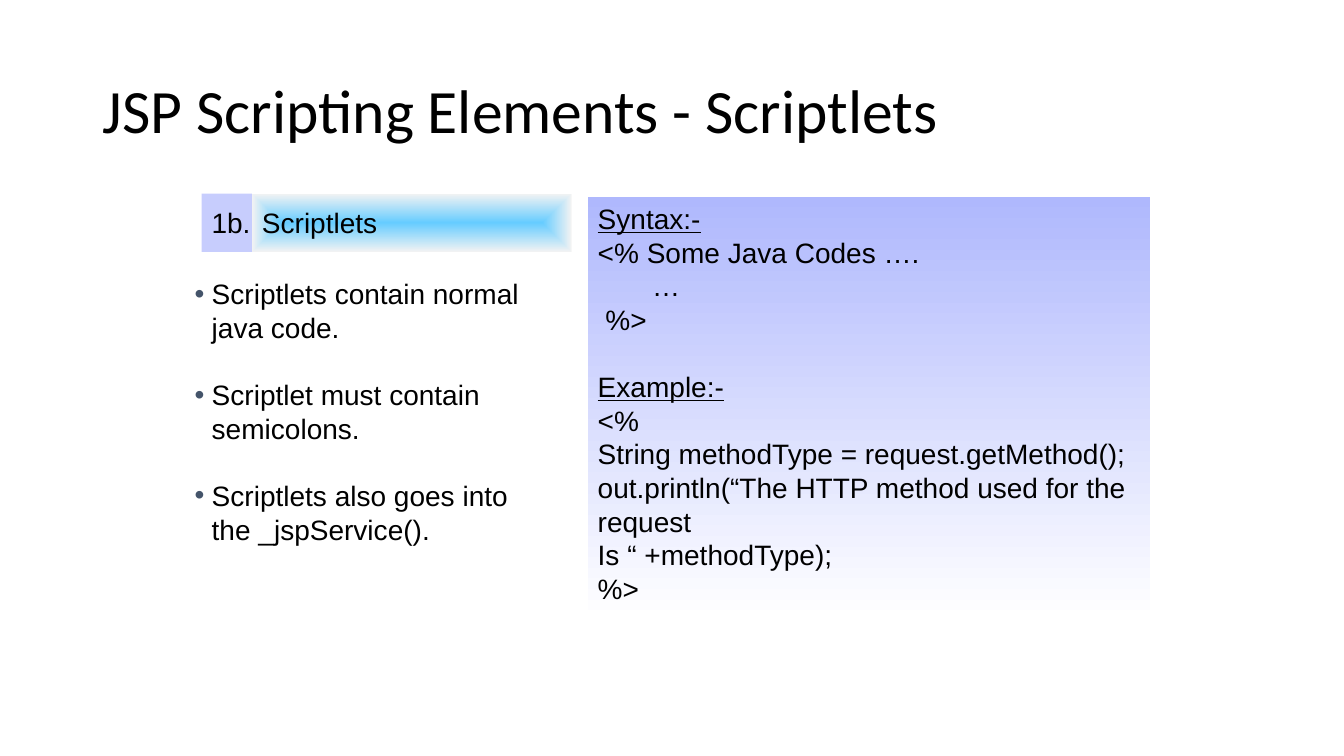
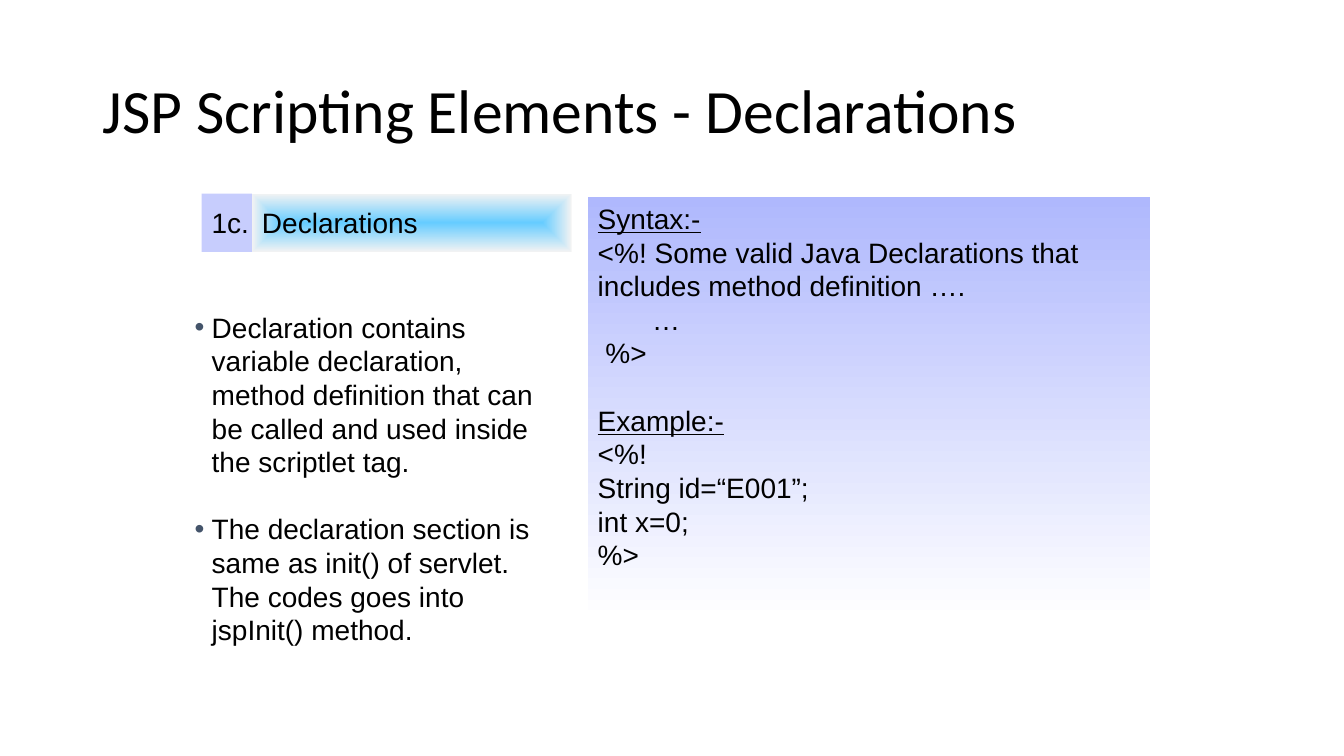
from dataclasses import dataclass

from lxml import etree
from pptx import Presentation
from pptx import util as u
from pptx.dml.color import RGBColor
from pptx.enum import shapes, text
from pptx.oxml import parse_xml
from pptx.oxml.ns import nsdecls, qn

SLIDES = [
    {
        "title": "JSP Scripting Elements - Scriptlets",
        "tag": "1b.",
        "label": "Scriptlets",
        "list_top": 2.08,
        "list_tall": 4.0,
        "points": [
            "Scriptlets contain normal java code.",
            "Scriptlet must contain semicolons.",
            "Scriptlets also goes into the _jspService().",
        ],
        "code": {
            "Syntax:-": ["<% Some Java Codes ….", "       …", " %>"],
            "Example:-": [
                "<%",
                "String methodType = request.getMethod();",
                "out.println(“The HTTP method used for the request",
                "Is “ +methodType);",
                "%>",
            ],
        },
    },
    {
        "title": "JSP Scripting Elements - Declarations",
        "tag": "1c.",
        "label": "Declarations",
        "list_top": 2.58,
        "list_tall": 4.33,
        "points": [
            "Declaration contains variable declaration, method definition "
            "that can be called and used inside the scriptlet tag.",
            "The declaration section is same as init() of servlet. "
            "The codes goes into jspInit() method.",
        ],
        "code": {
            "Syntax:-": [
                "<%! Some valid Java Declarations that includes "
                "method definition ….",
                "       …",
                " %>",
            ],
            "Example:-": ["<%!", "String id=“E001”;", "int x=0;", "%>"],
        },
    },
]


@dataclass(frozen=True)
class Theme:
    ink: str = "000000"
    dot: str = "44546A"
    tag: str = "C7CDFD"
    panel: tuple = ("AFB8FD", "FFFFFF")
    label: tuple = ("66CCFF", "F3F3F3")
    head: str = "Calibri"
    body: str = "Arial"
    big: int = 44
    base: int = 20
    line: int = 24


T = Theme()
WIDE, TALL = 13.33, 7.5
TITLE = (0.92, 0.4, 11.5, 1.45)
LEFT, TOP, ROW = 2.0, 1.92, 0.58
TAG_W, LABEL_W = 0.5, 3.17
PANEL = (5.83, 1.95, 5.58, 4.21)
LIST_X, LIST_W, HANG = 1.83, 3.6, 0.17


def place(shape, box):
    shape.left, shape.top, shape.width, shape.height = map(u.Inches, box)


def style(para, size=T.base, name=T.body, line=u.Pt(T.line), gap=0):
    para.alignment = text.PP_ALIGN.LEFT
    para.line_spacing = line
    para.space_before, para.space_after = u.Pt(gap), u.Pt(0)
    for run in para.runs:
        run.font.size, run.font.name = u.Pt(size), name
        run.font.color.rgb = RGBColor.from_string(T.ink)


def shade(fill, pair):
    """Fill from the first colour at the top to the second at the bottom."""
    fill.gradient()
    fill.gradient_angle = 270
    for stop, tint in zip(fill.gradient_stops, pair):
        stop.color.rgb = RGBColor.from_string(tint)


def center(shape):
    """Make the gradient run outward from the middle of the shape."""
    line = shape.element.spPr.find(qn("a:gradFill")).find(qn("a:lin"))
    line.getparent().replace(line, parse_xml(
        f'<a:path {nsdecls("a")} path="shape"><a:fillToRect '
        'l="50000" t="50000" r="50000" b="50000"/></a:path>'))


def add_box(slide, box, paint, words=""):
    shape = slide.shapes.add_shape(
        shapes.MSO_SHAPE.RECTANGLE, *map(u.Inches, box))
    shape.shadow.inherit = False
    shape.line.fill.background()
    if isinstance(paint, tuple):
        shade(shape.fill, paint)
    else:
        shape.fill.solid()
        shape.fill.fore_color.rgb = RGBColor.from_string(paint)
    frame = shape.text_frame
    frame.text = words
    frame.word_wrap = not words
    frame.vertical_anchor = text.MSO_ANCHOR.MIDDLE
    style(frame.paragraphs[0])
    return shape


def add_title(slide, words):
    title = slide.shapes.title
    place(title, TITLE)
    frame = title.text_frame
    frame.text = words
    frame.vertical_anchor = text.MSO_ANCHOR.MIDDLE
    para = frame.paragraphs[0]
    style(para, T.big, T.head, 0.9)
    fill = para.runs[0].font.fill
    props = para.runs[0].font._element
    props.find(qn("a:solidFill")).addnext(parse_xml(
        f'<a:effectLst {nsdecls("a")}><a:outerShdw dist="38100" dir="2700000">'
        '<a:srgbClr val="C0C0C0"/></a:outerShdw></a:effectLst>'))


def add_list(slide, data):
    body = slide.placeholders[1]
    place(body, (LIST_X, data["list_top"], LIST_W, data["list_tall"]))
    frame = body.text_frame
    frame.text = "\n".join(data["points"])
    frame.auto_size = text.MSO_AUTO_SIZE.NONE
    frame.vertical_anchor = text.MSO_ANCHOR.MIDDLE
    for i, para in enumerate(frame.paragraphs):
        style(para, gap=T.line if i else 0)
        props = para._p.get_or_add_pPr()
        props.set("marL", str(u.Inches(HANG)))
        props.set("indent", str(-u.Inches(HANG)))
        tint = etree.SubElement(props, qn("a:buClr"))
        etree.SubElement(tint, qn("a:srgbClr"), val=T.dot)
        etree.SubElement(props, qn("a:buFont"), typeface=T.body)
        etree.SubElement(props, qn("a:buChar"), char="•")


def add_code(slide, code):
    frame = add_box(slide, PANEL, T.panel).text_frame
    frame.vertical_anchor = text.MSO_ANCHOR.TOP
    frame.text = "\n".join(
        line for head, lines in code.items() for line in (head, *lines))
    for i, para in enumerate(frame.paragraphs):
        head = para.text in code
        style(para, gap=T.line if head and i else 0)
        para.runs[0].font.underline = head


def main():
    prs = Presentation()
    prs.slide_width, prs.slide_height = u.Inches(WIDE), u.Inches(TALL)
    for data in SLIDES:
        slide = prs.slides.add_slide(prs.slide_layouts[1])
        add_title(slide, data["title"])
        add_list(slide, data)
        add_code(slide, data["code"])
        center(add_box(slide, (LEFT + TAG_W, TOP, LABEL_W, ROW),
                       T.label, data["label"]))
        add_box(slide, (LEFT, TOP, TAG_W, ROW), T.tag, data["tag"])
    prs.save("out.pptx")


if __name__ == "__main__":
    main()
